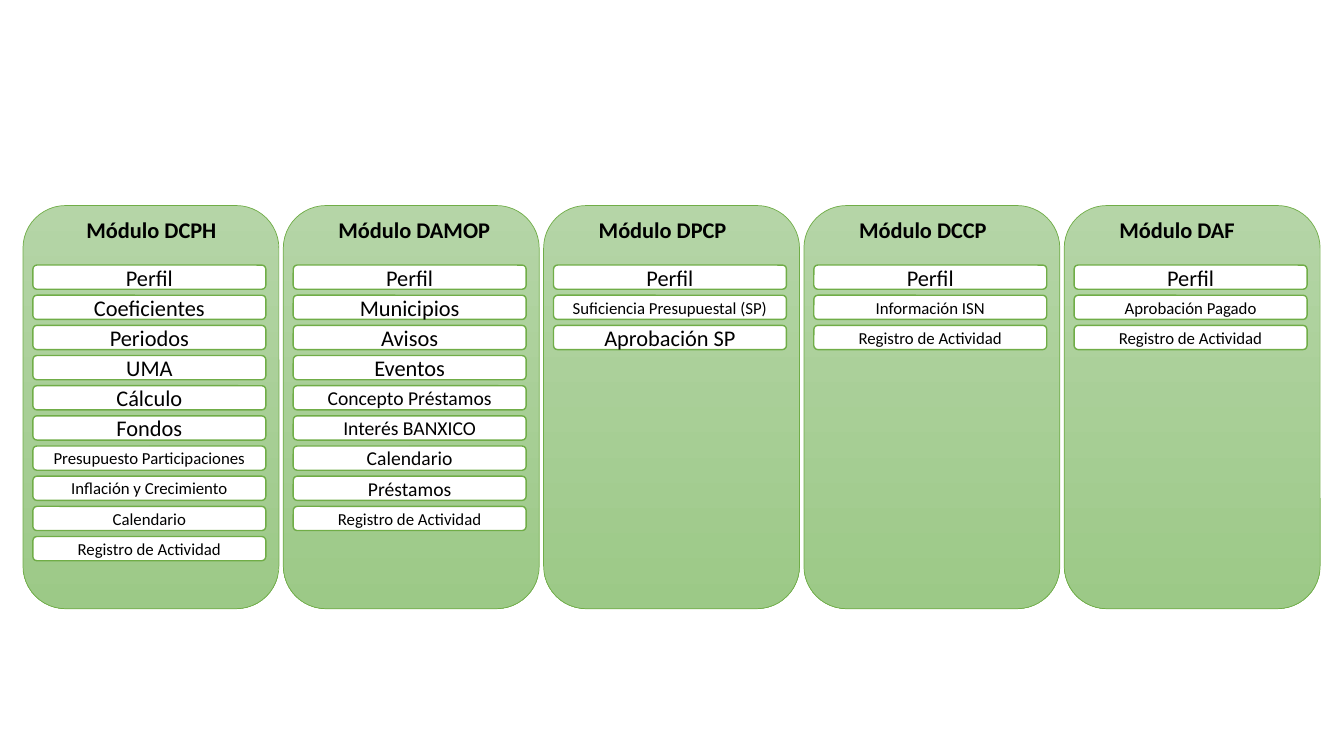
from pptx import Presentation
from pptx.dml.color import RGBColor
from pptx.enum.shapes import MSO_SHAPE
from pptx.enum.text import MSO_ANCHOR, MSO_AUTO_SIZE, PP_ALIGN
from pptx.util import Cm, Pt

COLORS = {"panel_top": "B5D5A7", "panel_bottom": "9CC987",
          "outline": "70AD47", "option": "FFFFFF", "text": "000000"}

# Heading, heading offset and width in cm, then options with their text sizes
MODULES = [
    ("Módulo DCPH", 1.35, 3.84, [
        ("Perfil", 16), ("Coeficientes", 16), ("Periodos", 16), ("UMA", 16),
        ("Cálculo", 16), ("Fondos", 16), ("Presupuesto Participaciones", 12),
        ("Inflación y Crecimiento", 12), ("Calendario", 12),
        ("Registro de Actividad", 12)]),
    ("Módulo DAMOP", 1.14, 4.39, [
        ("Perfil", 16), ("Municipios", 16), ("Avisos", 16), ("Eventos", 16),
        ("Concepto Préstamos", 14), ("Interés BANXICO", 14),
        ("Calendario", 14), ("Préstamos", 14), ("Registro de Actividad", 12)]),
    ("Módulo DPCP", 1.14, 3.78, [
        ("Perfil", 16), ("Suficiencia Presupuestal (SP)", 12),
        ("Aprobación SP", 16)]),
    ("Módulo DCCP", 1.14, 3.78, [
        ("Perfil", 16), ("Información ISN", 12),
        ("Registro de Actividad", 12)]),
    ("Módulo DAF", 1.14, 3.45, [
        ("Perfil", 16), ("Aprobación Pagado", 12),
        ("Registro de Actividad", 12)]),
]


def add_rounded(shapes, left, top, width, height, line_width):
    box = shapes.add_shape(MSO_SHAPE.ROUNDED_RECTANGLE,
                           Cm(left), Cm(top), Cm(width), Cm(height))
    box.shadow.inherit = False
    box.line.color.rgb = RGBColor.from_string(COLORS["outline"])
    box.line.width = Pt(line_width)
    return box


def write(frame, text, size, bold=False):
    frame.text = text
    font = frame.paragraphs[0].runs[0].font
    font.name = "Calibri"
    font.size = Pt(size)
    font.bold = bold
    font.color.rgb = RGBColor.from_string(COLORS["text"])


prs = Presentation()
prs.slide_width, prs.slide_height = Cm(33.87), Cm(19.05)
slide = prs.slides.add_slide(prs.slide_layouts[6])

for column, (heading, offset, heading_width, options) in enumerate(MODULES):
    left = 0.58 + column * 6.56
    module = slide.shapes.add_group_shape().shapes

    # Green panel
    panel = add_rounded(module, left, 5.18, 6.45, 10.16, 0.5)
    panel.fill.gradient()
    panel.fill.gradient_angle = 270
    for stop, shade in zip(panel.fill.gradient_stops,
                           ("panel_top", "panel_bottom")):
        stop.color.rgb = RGBColor.from_string(COLORS[shade])

    # Module heading
    title = module.add_textbox(Cm(left + offset), Cm(5.33),
                               Cm(heading_width), Cm(0.94)).text_frame
    title.word_wrap = False
    title.auto_size = MSO_AUTO_SIZE.SHAPE_TO_FIT_TEXT
    write(title, heading, 16, bold=True)

    # Menu options
    for row, (label, size) in enumerate(options):
        option = add_rounded(module, left + 0.25, 6.68 + row * 0.76,
                             5.87, 0.61, 1)
        option.fill.solid()
        option.fill.fore_color.rgb = RGBColor.from_string(COLORS["option"])
        option.text_frame.word_wrap = True
        option.text_frame.vertical_anchor = MSO_ANCHOR.MIDDLE
        write(option.text_frame, label, size)
        option.text_frame.paragraphs[0].alignment = PP_ALIGN.CENTER

prs.save("out.pptx")
